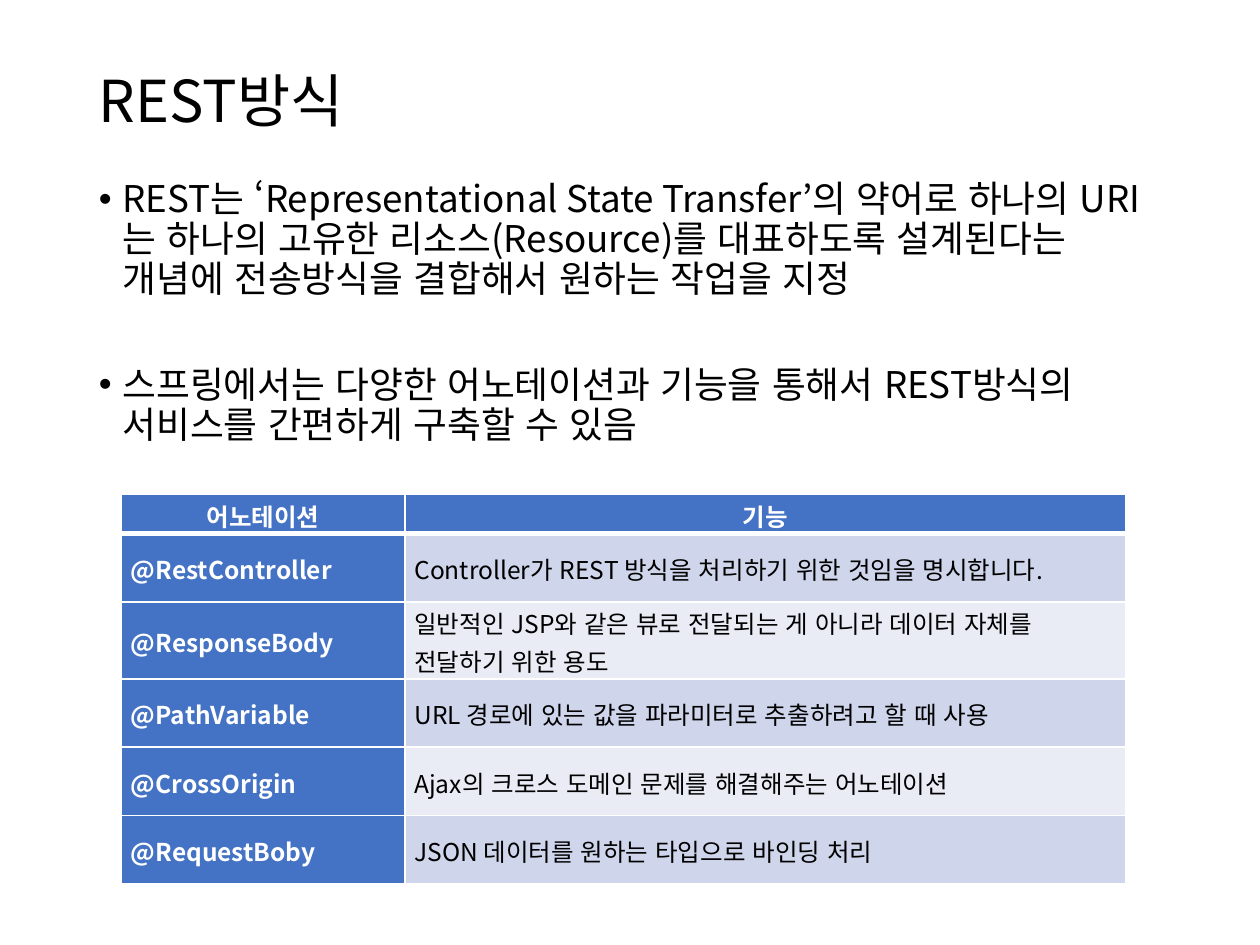
from lxml import etree
from pptx import Presentation
from pptx import util as u
from pptx.dml.color import RGBColor
from pptx.enum import lang, text
from pptx.oxml import ns

FONT = "Noto Sans CJK KR"
BLACK, WHITE, BLUE = "000000", "FFFFFF", "4472C4"
BANDS = ("CFD5EA", "E9EBF5")

TITLE = "REST방식"
POINTS = [
    ("REST는 ‘Representational State Transfer’의 약어로 하나의 URI는 하나의 "
     "고유한 리소스(Resource)를 대표하도록 설계된다는 개념에 전송방식을 결합해서 "
     "원하는 작업을 지정", 7.5),
    ("스프링에서는 다양한 어노테이션과 기능을 통해서 REST방식의 서비스를 "
     "간편하게 구축할 수 있음", 38),
]
HEADINGS = ("어노테이션", "기능")
ANNOTATIONS = [
    ("@RestController", "Controller가 REST 방식을 처리하기 위한 것임을 명시합니다."),
    ("@ResponseBody", "일반적인 JSP와 같은 뷰로 전달되는 게 아니라 데이터 자체를 전달하기 위한 용도"),
    ("@PathVariable", "URL 경로에 있는 값을 파라미터로 추출하려고 할 때 사용"),
    ("@CrossOrigin", "Ajax의 크로스 도메인 문제를 해결해주는 어노테이션"),
    ("@RequestBoby", "JSON 데이터를 원하는 타입으로 바인딩 처리"),
]
COLUMN_WIDTHS = (162, 411.8)
ROW_HEIGHTS = (22.3, 39, 44, 39, 39, 39)


def color(hex_value):
    return RGBColor.from_string(hex_value)


def add_run(paragraph, words, size, ink=BLACK, bold=False):
    run = paragraph.add_run()
    run.text = words
    font = run.font
    font.name, font.size, font.bold = FONT, u.Pt(size), bold
    font.color.rgb = color(ink)
    font.language_id = lang.MSO_LANGUAGE_ID.KOREAN
    east_asian = etree.Element(ns.qn("a:ea"), typeface=FONT)
    run._r.get_or_add_rPr().find(ns.qn("a:latin")).addnext(east_asian)


def add_textbox(slide, left, top, width, height, anchor):
    box = slide.shapes.add_textbox(u.Pt(left), u.Pt(top), u.Pt(width), u.Pt(height))
    frame = box.text_frame
    frame.word_wrap = True
    frame.vertical_anchor = anchor
    frame.margin_left = frame.margin_right = u.Pt(7.2)
    frame.margin_top = frame.margin_bottom = u.Pt(3.6)
    return frame


def add_bullet(paragraph, words, space_before):
    paragraph.line_spacing = 0.9
    paragraph.space_before = u.Pt(space_before)
    properties = paragraph._p.get_or_add_pPr()
    properties.set("marL", str(u.Pt(13.5)))
    properties.set("indent", str(u.Pt(-13.5)))
    etree.SubElement(properties, ns.qn("a:buFont"), typeface="Arial")
    etree.SubElement(properties, ns.qn("a:buChar"), char="•")
    add_run(paragraph, words, 21)


def set_borders(cell, widths):
    properties = cell._tc.get_or_add_tcPr()
    for position, (side, width) in enumerate(widths.items()):
        line = etree.Element(ns.qn(f"a:ln{side}"), w=str(u.Pt(width)))
        fill = etree.SubElement(line, ns.qn("a:solidFill"))
        etree.SubElement(fill, ns.qn("a:srgbClr"), val=WHITE)
        properties.insert(position, line)


def fill_cell(cell, words, fill, heading, label):
    cell.fill.solid()
    cell.fill.fore_color.rgb = color(fill)
    cell.vertical_anchor = text.MSO_ANCHOR.MIDDLE
    cell.margin_left = cell.margin_right = u.Pt(5.4)
    cell.margin_top = cell.margin_bottom = 0
    paragraph = cell.text_frame.paragraphs[0]
    paragraph.line_spacing = 1.07
    paragraph.alignment = text.PP_ALIGN.CENTER if heading else text.PP_ALIGN.LEFT
    add_run(paragraph, words, 14, WHITE if label else BLACK, label)


def add_annotation_table(slide):
    rows = [HEADINGS, *ANNOTATIONS]
    table = slide.shapes.add_table(
        len(rows), len(HEADINGS), u.Pt(69.4), u.Pt(282.7),
        u.Pt(sum(COLUMN_WIDTHS)), u.Pt(sum(ROW_HEIGHTS))).table
    for column, width in zip(table.columns, COLUMN_WIDTHS):
        column.width = u.Pt(width)
    for index, (row, height) in enumerate(zip(rows, ROW_HEIGHTS)):
        heading = index == 0
        table.rows[index].height = u.Pt(height)
        for side, words in enumerate(row):
            label = heading or side == 0
            fill = BLUE if label else BANDS[(index - 1) % 2]
            cell = table.cell(index, side)
            fill_cell(cell, words, fill, heading, label)
            set_borders(cell, {"L": 1, "R": 1, "T": 3 if index == 1 else 1,
                               "B": 3 if heading else 1})


def main():
    deck = Presentation()
    deck.slide_width, deck.slide_height = u.Pt(720), u.Pt(540)
    slide = deck.slides.add_slide(deck.slide_layouts[6])

    title = add_textbox(slide, 49.5, 28.8, 621, 61.2, text.MSO_ANCHOR.MIDDLE)
    title.paragraphs[0].line_spacing = 0.9
    add_run(title.paragraphs[0], TITLE, 33)

    body = add_textbox(slide, 49.5, 100, 621, 386.6, text.MSO_ANCHOR.TOP)
    for index, (words, space_before) in enumerate(POINTS):
        paragraph = body.add_paragraph() if index else body.paragraphs[0]
        add_bullet(paragraph, words, space_before)

    add_annotation_table(slide)
    deck.save("out.pptx")


if __name__ == "__main__":
    main()
